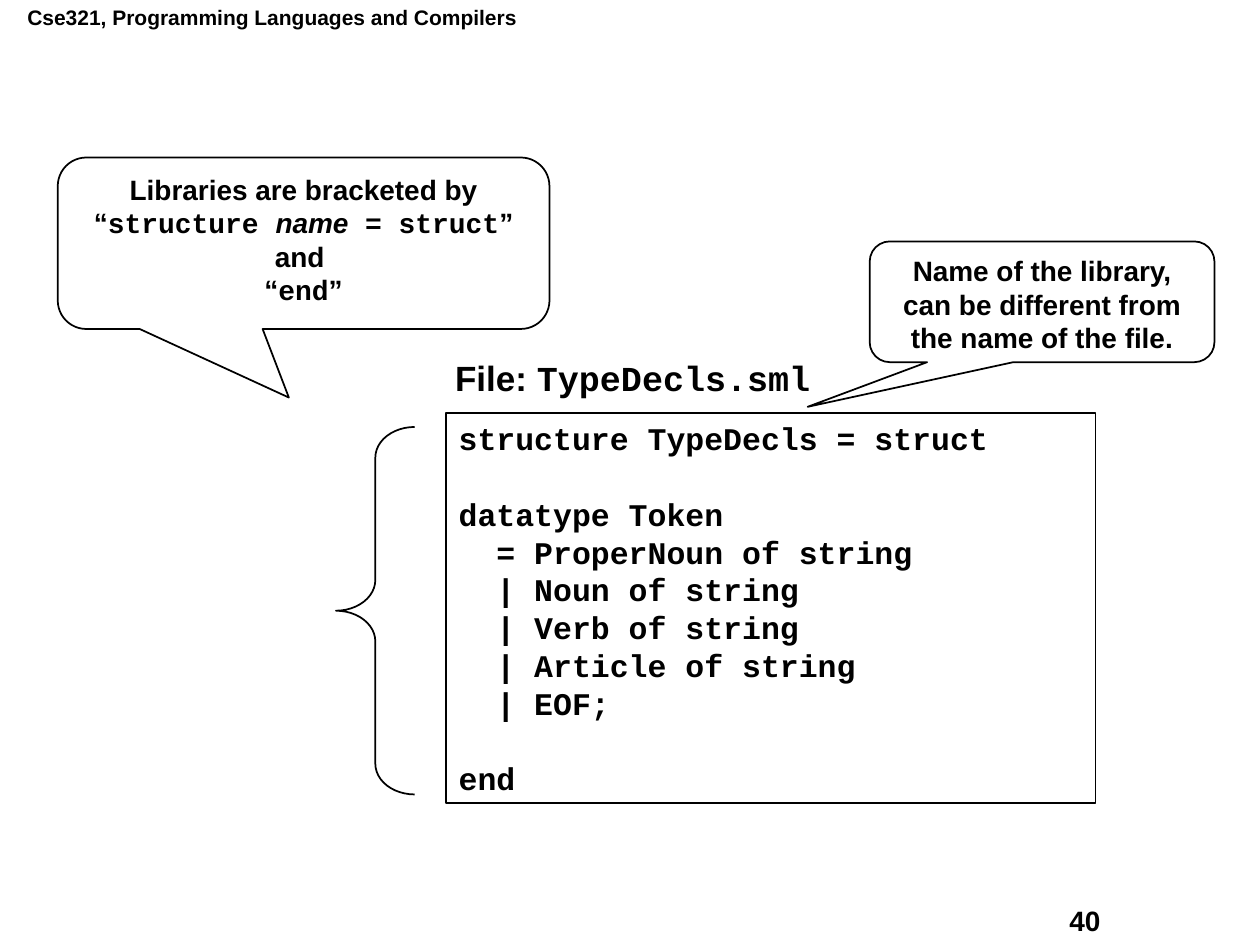
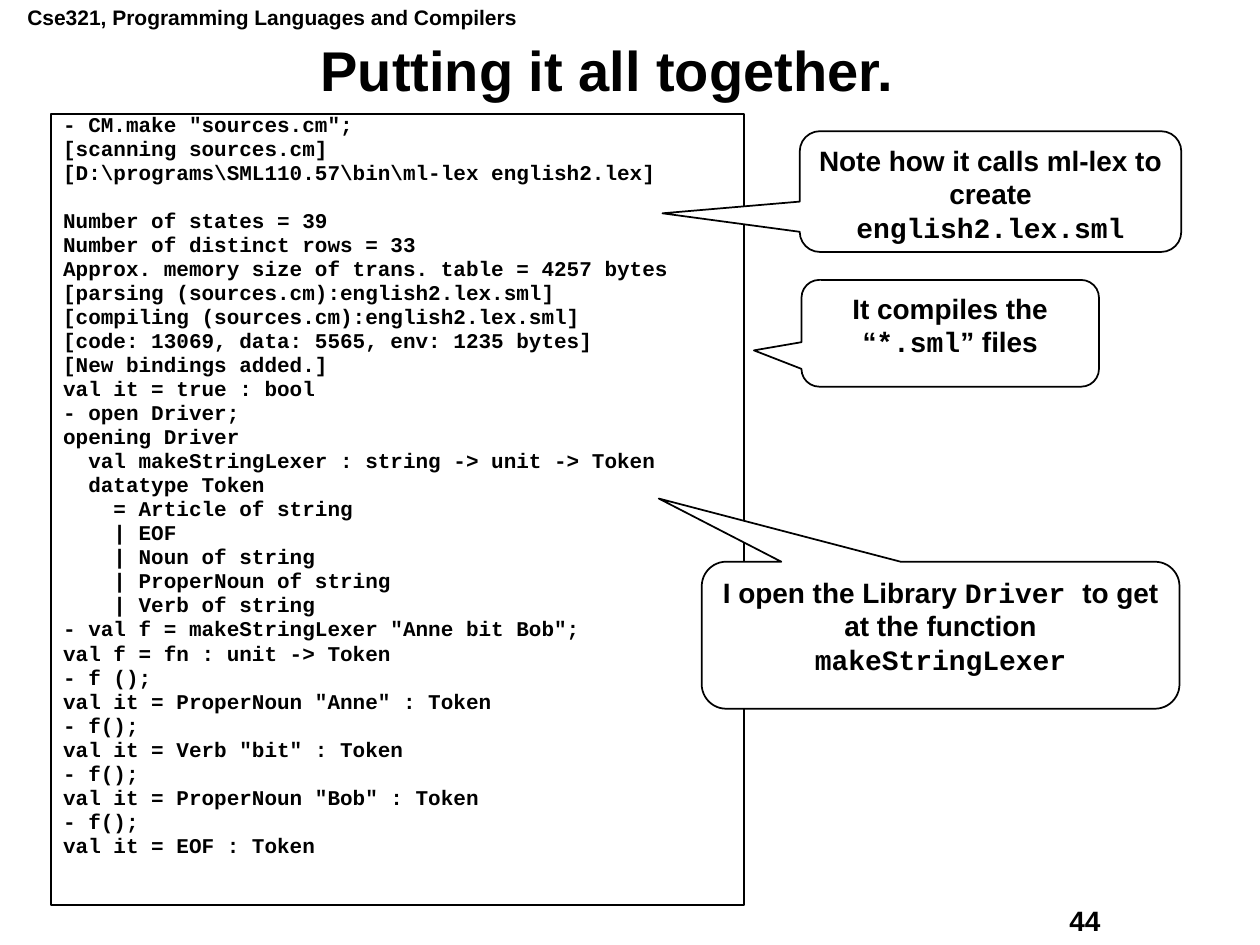
from pptx import Presentation
from pptx.dml.color import RGBColor
from pptx.enum import shapes, text
from pptx.util import Pt

COLORS = {"ink": "000000", "paper": "FFFFFF"}
SANS, MONO = "Arial", "Courier New"
SLIDE_SIZE = (720, 540)
COURSE = "Cse321, Programming Languages and Compilers"
COURSE_BOX = (8.5, -1, 300, 22)
NUMBER_BOX = (604, 513, 91, 26)
TITLE_BOX = (22, 22, 650, 40)

LIBRARY_CODE = """structure TypeDecls = struct

datatype Token
  = ProperNoun of string
  | Noun of string
  | Verb of string
  | Article of string
  | EOF;

end"""

SESSION_CODE = r"""- CM.make "sources.cm";
[scanning sources.cm]
[D:\programs\SML110.57\bin\ml-lex english2.lex]

Number of states = 39
Number of distinct rows = 33
Approx. memory size of trans. table = 4257 bytes
[parsing (sources.cm):english2.lex.sml]
[compiling (sources.cm):english2.lex.sml]
[code: 13069, data: 5565, env: 1235 bytes]
[New bindings added.]
val it = true : bool
- open Driver;
opening Driver
  val makeStringLexer : string -> unit -> Token
  datatype Token
    = Article of string
    | EOF
    | Noun of string
    | ProperNoun of string
    | Verb of string
- val f = makeStringLexer "Anne bit Bob";
val f = fn : unit -> Token
- f ();
val it = ProperNoun "Anne" : Token
- f();
val it = Verb "bit" : Token
- f();
val it = ProperNoun "Bob" : Token
- f();
val it = EOF : Token"""

SLIDES = [
    {
        "number": "40",
        "code": {"lines": LIBRARY_CODE, "box": (255, 236, 371, 223), "size": 18},
        "file": {"box": (253, 200, 257, 32),
                 "lines": [[("File: ", SANS), ("TypeDecls.sml", MONO)]]},
        "brace": (192, 244, 45, 210),
        "callouts": [
            {"box": (497, 138, 197, 69), "tip": (-0.68, 0.87),
             "lines": [[("Name of the library, can be different from "
                         "the name of the file.", SANS)]]},
            {"box": (33, 90, 281, 98), "tip": (-0.03, 0.9),
             "lines": [[("Libraries are bracketed by", SANS)],
                       [("“", SANS), ("structure ", MONO), ("name", SANS, True),
                        (" = struct", MONO), ("”", SANS)],
                       [("and ", SANS)],
                       [("“", SANS), ("end", MONO), ("”", SANS)]]},
        ],
    },
    {
        "number": "44",
        "title": "Putting it all together.",
        "code": {"lines": SESSION_CODE, "box": (29, 65, 396, 452), "size": 12,
                 "spacing": 0.64, "before": 4.5},
        "callouts": [
            {"box": (457, 75, 218, 69), "tip": (-0.86, 0.18),
             "lines": [[("Note how it calls ml-lex to create ", SANS),
                        ("english2.lex.sml", MONO)]]},
            {"box": (458, 160, 170, 61), "tip": (-0.66, 0.16),
             "lines": [[("It compiles the “", SANS), ("*.sml", MONO),
                        ("” files", SANS)]]},
            {"box": (401, 321, 273, 84), "tip": (-0.59, -0.93),
             "lines": [[("I open the Library ", SANS), ("Driver ", MONO),
                        ("to get at the function ", SANS),
                        ("makeStringLexer", MONO)]]},
        ],
    },
]


def color(key):
    return RGBColor.from_string(COLORS[key])


def points(box):
    return [Pt(length) for length in box]


def style(font, size, face, italic=False):
    font.size, font.name, font.bold, font.italic = Pt(size), face, True, italic
    font.color.rgb = color("ink")


def write(frame, lines, size, align=text.PP_ALIGN.LEFT, spacing=None, before=0):
    frame.word_wrap = True
    for index, line in enumerate(lines):
        paragraph = frame.add_paragraph() if index else frame.paragraphs[0]
        paragraph.alignment = align
        paragraph.line_spacing = spacing
        paragraph.space_before = Pt(before if index else 0)
        style(paragraph.font, size, line[0][1])
        for words, *look in line:
            if words:
                run = paragraph.add_run()
                run.text = words
                style(run.font, size, *look)


def add_label(slide, box, lines, size):
    write(slide.shapes.add_textbox(*points(box)).text_frame, lines, size)


def add_outline(slide, kind, box, fill=None):
    outline = slide.shapes.add_shape(kind, *points(box))
    outline.shadow.inherit = False
    outline.line.color.rgb = color("ink")
    outline.line.width = Pt(1)
    if fill:
        outline.fill.solid()
        outline.fill.fore_color.rgb = color(fill)
    else:
        outline.fill.background()
    outline.text_frame.vertical_anchor = text.MSO_ANCHOR.TOP
    return outline


def add_code(slide, lines, box, size, **rhythm):
    listing = add_outline(slide, shapes.MSO_SHAPE.RECTANGLE, box)
    write(listing.text_frame, [[(line, MONO)] for line in lines.split("\n")],
          size, **rhythm)


def add_callout(slide, box, tip, lines):
    bubble = add_outline(slide, shapes.MSO_SHAPE.ROUNDED_RECTANGULAR_CALLOUT,
                         box, "paper")
    bubble.adjustments[0], bubble.adjustments[1] = tip
    write(bubble.text_frame, lines, 16, text.PP_ALIGN.CENTER)


def add_title(slide, words):
    title = slide.shapes.title
    title.left, title.top, title.width, title.height = points(TITLE_BOX)
    title.text_frame.vertical_anchor = text.MSO_ANCHOR.MIDDLE
    write(title.text_frame, [[(words, SANS)]], 32, text.PP_ALIGN.CENTER, 0.9)


def main():
    deck = Presentation()
    deck.slide_width, deck.slide_height = points(SLIDE_SIZE)
    for content in SLIDES:
        slide = deck.slides.add_slide(deck.slide_layouts[5 if "title" in content else 6])
        add_label(slide, COURSE_BOX, [[(COURSE, SANS)]], 12)
        add_label(slide, NUMBER_BOX, [[(content["number"], SANS)]], 16)
        if "title" in content:
            add_title(slide, content["title"])
        add_code(slide, **content["code"])
        if "file" in content:
            add_label(slide, **content["file"], size=20)
        if "brace" in content:
            brace = add_outline(slide, shapes.MSO_SHAPE.LEFT_BRACE, content["brace"])
            brace.adjustments[0] = 0.39
        for callout in content["callouts"]:
            add_callout(slide, **callout)
    deck.save("out.pptx")


if __name__ == "__main__":
    main()
